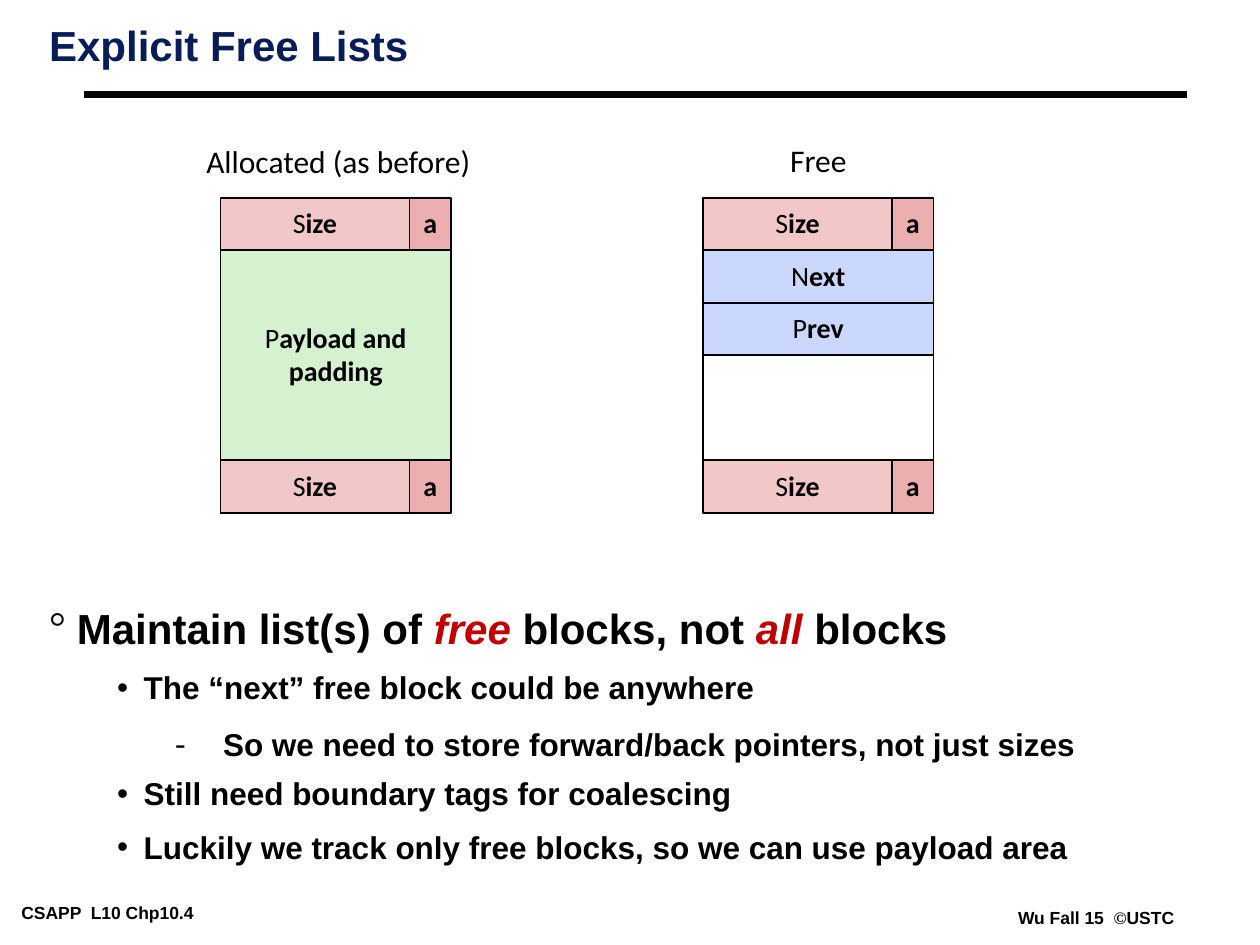
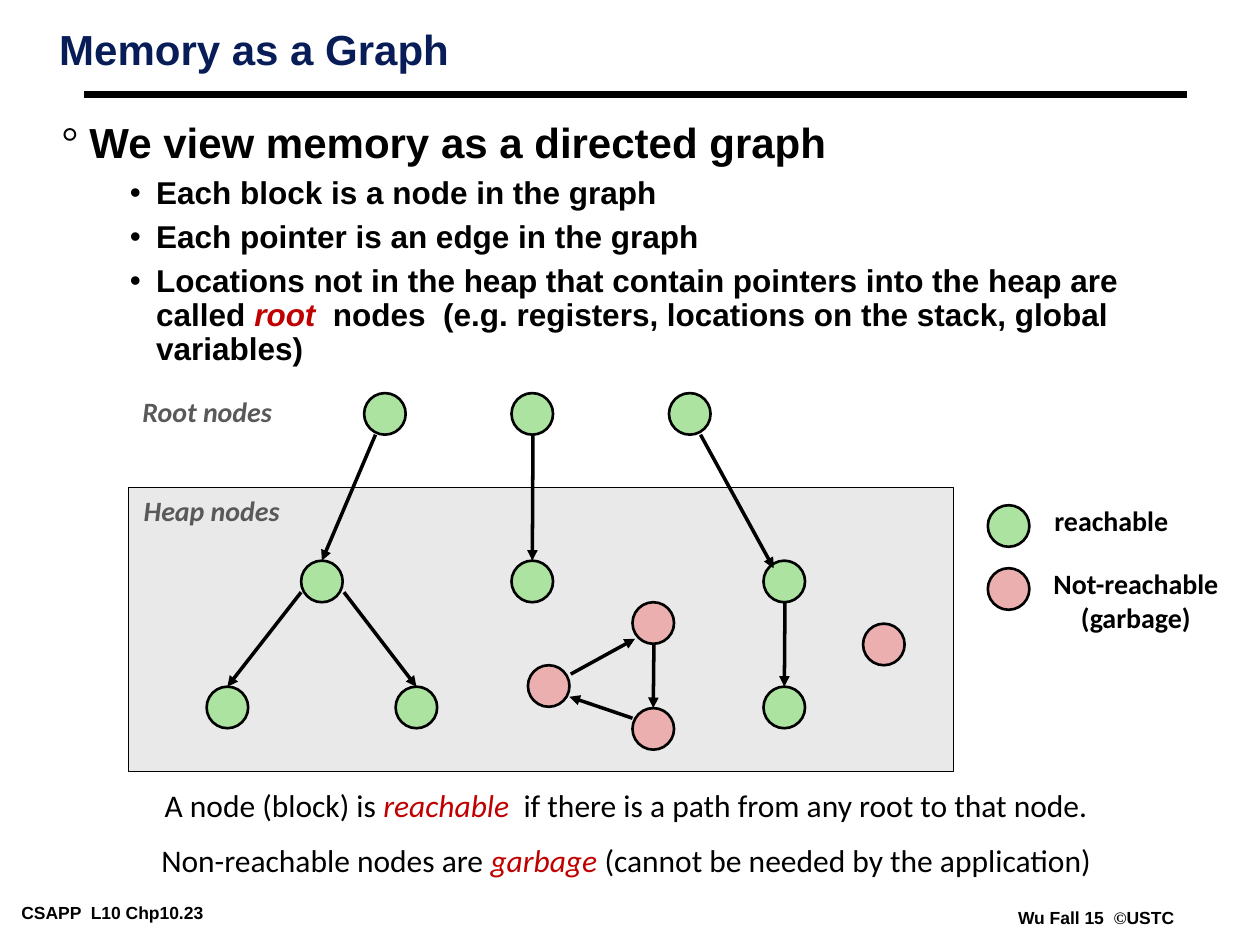
from lxml import etree
from pptx import Presentation
from pptx.dml.color import RGBColor
from pptx.enum.shapes import MSO_CONNECTOR, MSO_SHAPE
from pptx.enum.text import MSO_ANCHOR, PP_ALIGN
from pptx.oxml.ns import qn
from pptx.util import Inches, Pt

RECT, OVAL = MSO_SHAPE.RECTANGLE, MSO_SHAPE.OVAL
LINE = MSO_CONNECTOR.STRAIGHT
MIDDLE, TOP = MSO_ANCHOR.MIDDLE, MSO_ANCHOR.TOP
CENTER = PP_ALIGN.CENTER

rgb = RGBColor.from_string
BLACK, NAVY, RED, GRAY = "000000", "081D58", "C00000", "595959"
PINK, ROSE, MINT, BLUE = "F1C7C7", "EBAFAF", "D5F1CF", "CAD7FE"
GREEN, PALE, WHITE = "ACE3A1", "E9E9E9", "FFFFFF"

ARIAL = {"name": "Arial", "bold": True, "color": BLACK}
FOOT = {**ARIAL, "size": Pt(10)}
TITLE = {**ARIAL, "size": Pt(24), "color": NAVY}
HEAD = {**ARIAL, "size": Pt(24)}
ITEM = {**ARIAL, "size": Pt(18)}
PLAIN = {"name": "Calibri", "size": Pt(18), "color": BLACK}
CELL = {**PLAIN, "size": Pt(16)}
BOLD = {"bold": True}
STRESS = {"italic": True, "color": RED}
AREA = {**CELL, "bold": True, "italic": True, "color": GRAY}
KEY = {**CELL, "bold": True}
MID = {"alignment": CENTER}
SNUG = (0.07, 0.03)

LEVELS = [
    (0.22, 0.22, "°", "Times New Roman", HEAD),
    (0.75, 0.21, "•", "Arial", ITEM),
    (1.38, 0.38, "-", "Times New Roman", ITEM),
]


def write(shape, lines, base, layout, wrap=True, inset=(0.1, 0.05), anchor=TOP):
    frame = shape.text_frame
    frame.word_wrap = wrap
    frame.vertical_anchor = anchor
    frame.margin_left = frame.margin_right = Inches(inset[0])
    frame.margin_top = frame.margin_bottom = Inches(inset[1])
    for n, runs in enumerate(lines):
        para = frame.paragraphs[0] if n == 0 else frame.add_paragraph()
        for name, value in layout.items():
            setattr(para, name, value)
        for text, extra in runs:
            run = para.add_run()
            run.text = text
            for name, value in {**base, **extra}.items():
                if name == "color":
                    run.font.color.rgb = rgb(value)
                else:
                    setattr(run.font, name, value)


def draw(slide, kind, spot, fill, width):
    shape = slide.shapes.add_shape(kind, *map(Inches, spot))
    shape.shadow.inherit = False
    shape.fill.solid()
    shape.fill.fore_color.rgb = rgb(fill)
    shape.line.color.rgb = rgb(BLACK)
    shape.line.width = Pt(width)
    return shape


deck = Presentation()
deck.slide_width, deck.slide_height = Inches(10), Inches(7.5)

pages = [
    ("Explicit Free Lists", "4", (0.32, 0.18, 6.64, 0.63), (0.32, 4.81, 9.09, 2.09), [
        (0, 0.85, 19.5, [("Maintain list(s) of ", {}), ("free", STRESS),
                         (" blocks, not ", {}), ("all", STRESS), (" blocks", {})]),
        (1, 1.0, 9, [("The “next” free block could be anywhere", {})]),
        (2, 1.07, 9, [("So we need to store forward/back pointers, not just sizes", {})]),
        (1, 0.9, 9, [("Still need boundary tags for coalescing", {})]),
        (1, 1.0, 9, [("Luckily we track only free blocks, so we can use payload area", {})]),
    ]),
    ("Memory as a Graph", "23", (0.4, 0.21, 6.93, 0.63), (0.42, 0.96, 9.26, 1.98), [
        (0, 0.85, 12.5, [("We view memory as a directed graph", {})]),
        (1, 0.9, 5.6, [("Each block is a node in the graph", {})]),
        (1, 0.9, 5.6, [("Each pointer is an edge in the graph", {})]),
        (1, 0.9, 5.6, [
            ("Locations not in the heap that contain pointers into the heap are called ", {}),
            ("root", STRESS),
            ("  nodes  (e.g. registers, locations on the stack, global variables)", {})]),
    ]),
]

slides, lines = [], []
for title, page, top, spot, items in pages:
    slide = deck.slides.add_slide(deck.slide_layouts[6])
    slides.append(slide)
    box = slide.shapes.add_textbox(*map(Inches, (0.1, 7.13, 2.1, 0.22)))
    write(box, [[(f"CSAPP  L10 Chp10.{page}", {})]], FOOT, {}, inset=SNUG)
    box = slide.shapes.add_textbox(*map(Inches, (8.01, 7.17, 1.38, 0.22)))
    mark = [("Wu Fall 15  ", {}), ("©", {"name": "Times New Roman"}), ("USTC", {})]
    write(box, [mark], FOOT, {}, wrap=False, inset=SNUG)
    rule = slide.shapes.add_connector(LINE, *map(Inches, (0.67, 0.75, 9.42, 0.75)))
    lines.append((rule, 4.5, False))
    box = slide.shapes.add_textbox(*map(Inches, top))
    write(box, [[(title, {})]], TITLE, {"line_spacing": 0.87}, inset=SNUG)

    box = slide.shapes.add_textbox(*map(Inches, spot))
    body = [[(text, {**LEVELS[level][4], **extra}) for text, extra in runs]
            for level, _, _, runs in items]
    write(box, body, {}, {}, inset=SNUG)
    for para, (level, space, before, _) in zip(box.text_frame.paragraphs, items):
        left, hang, sign, face, _ = LEVELS[level]
        para.level = level
        para.line_spacing = space
        para.space_before = Pt(before)
        props = para._p.get_or_add_pPr()
        props.set("marL", str(Inches(left)))
        props.set("indent", str(-Inches(hang)))
        tint = etree.SubElement(props, qn("a:buClr"))
        etree.SubElement(tint, qn("a:srgbClr"), val=BLACK)
        etree.SubElement(props, qn("a:buFont"), typeface=face)
        etree.SubElement(props, qn("a:buChar"), char=sign)

lists, graph = slides

ROW, WIDE, TAG = 5 / 12, 1.83, 0.33
ends = [(row, 1, x, w, fill, words)
        for row in (0, 5)
        for x, w, fill, words in ((0, 1.5, PINK, ["Size"]), (1.5, TAG, ROSE, ["a"]))]
used = [(1, 4, 0, WIDE, MINT, ["Payload and", "padding"])]
free = [(3, 2, 0, WIDE, WHITE, []),
        (1, 1, 0, WIDE, BLUE, ["Next"]),
        (2, 1, 0, WIDE, BLUE, ["Prev"])]
for left, cells in ((1.75, used), (5.58, free)):
    for row, count, x, w, fill, words in cells + ends:
        spot = (left + x, 1.57 + row * ROW, w, count * ROW)
        cell = draw(lists, RECT, spot, fill, 1)
        text = [[(word[0], {}), (word[1:], BOLD)] if word[0].isupper()
                else [(word, BOLD)] for word in words]
        write(cell, text, CELL, {**MID, "line_spacing": 0.98}, wrap=False, anchor=MIDDLE)

draw(graph, RECT, (1.02, 3.87, 6.55, 2.25), PALE, 0.5)

SIZE = 0.33
spots = {
    GREEN: [(2.89, 3.12), (4.06, 3.12), (5.31, 3.12), (2.39, 4.45), (4.06, 4.45),
            (6.06, 4.45), (1.64, 5.45), (3.14, 5.45), (6.06, 5.45), (7.84, 4.01)],
    ROSE: [(5.02, 4.78), (5.02, 5.62), (4.19, 5.28), (6.85, 4.95), (7.84, 4.51)],
}
nodes = {spot: draw(graph, OVAL, (*spot, SIZE, SIZE), fill, 1.5)
         for fill, group in spots.items() for spot in group}

for start, goal in [
    ((2.98, 3.45), (2.39, 4.45)), ((4.23, 3.45), (4.06, 4.45)),
    ((2.39, 4.7), (1.64, 5.45)), ((2.73, 4.7), (3.14, 5.45)),
    ((6.23, 4.78), (6.06, 5.45)), ((5.19, 5.12), (5.02, 5.62)),
]:
    link = graph.shapes.add_connector(LINE, *map(Inches, start + goal))
    link.end_connect(nodes[goal], 0)
    lines.append((link, 2, True))

for ends in [(5.56, 3.45, 6.14, 4.51), (5.02, 5.7, 4.52, 5.53), (4.53, 5.35, 5.04, 5.07)]:
    link = graph.shapes.add_connector(LINE, *map(Inches, ends))
    lines.append((link, 2, True))

for link, width, arrow in lines:
    link.line.color.rgb = rgb(BLACK)
    link.line.width = Pt(width)
    if arrow:
        etree.SubElement(link.line._get_or_add_ln(), qn("a:tailEnd"), type="triangle")
    etree.SubElement(link._element.spPr, qn("a:effectLst"))

for slide, spot, words, font in [
    (lists, (1.53, 1.08, 2.31, 0.4), ["Allocated (as before)"], PLAIN),
    (lists, (6.17, 1.07, 0.65, 0.4), ["Free"], PLAIN),
    (graph, (1.03, 3.08, 1.23, 0.37), ["Root nodes"], AREA),
    (graph, (1.04, 3.87, 1.28, 0.37), ["Heap nodes"], AREA),
    (graph, (8.26, 4.45, 1.51, 0.64), ["Not-reachable", "(garbage)"], KEY),
    (graph, (8.27, 3.95, 1.1, 0.37), ["reachable"], KEY),
]:
    box = slide.shapes.add_textbox(*map(Inches, spot))
    write(box, [[(word, {})] for word in words], font, MID, wrap=False)

note = graph.shapes.add_textbox(*map(Inches, (0.92, 6.21, 8.1, 0.92)))
write(note, [
    [("A node (block) is ", {}), ("reachable", STRESS),
     ("  if there is a path from any root to that node.", {})],
    [("Non-reachable nodes are ", {}), ("garbage ", STRESS),
     ("(cannot be needed by the application)", {})],
], PLAIN, {**MID, "line_spacing": 0.95, "space_before": Pt(11.2)})

deck.save("out.pptx")
